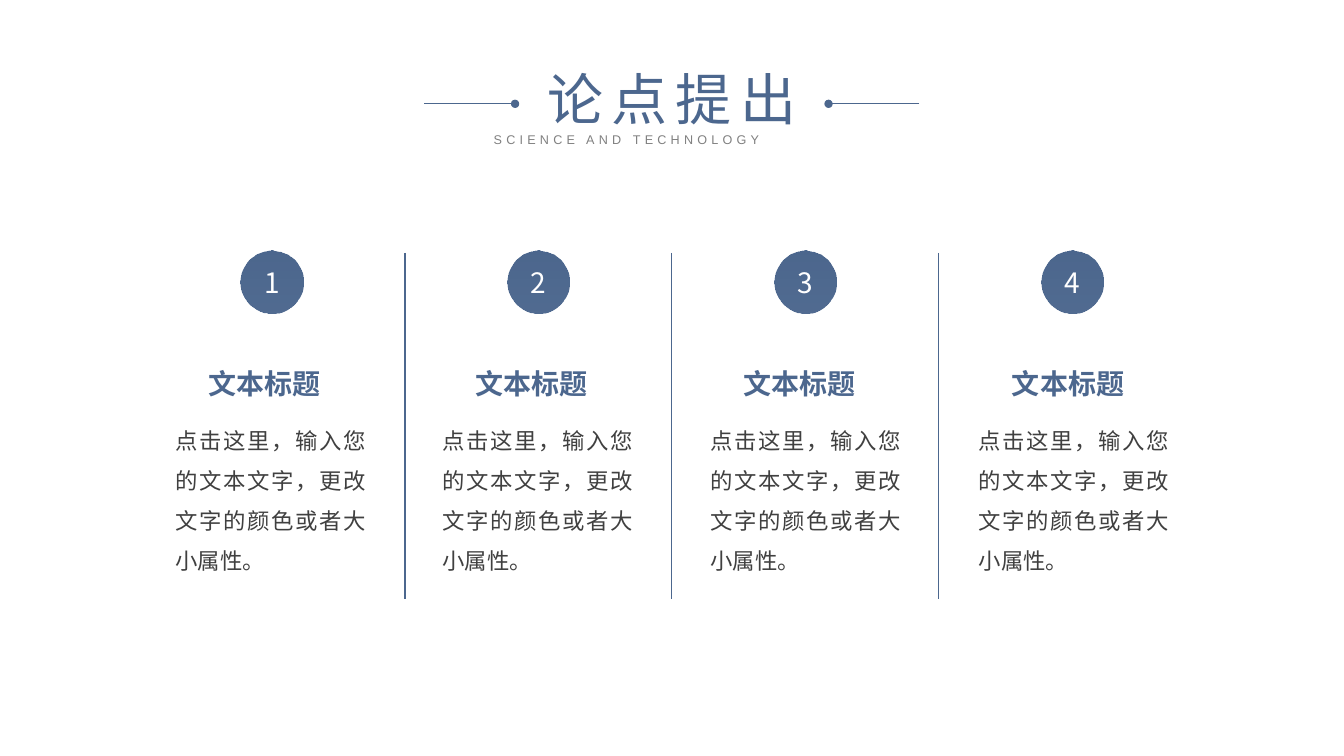
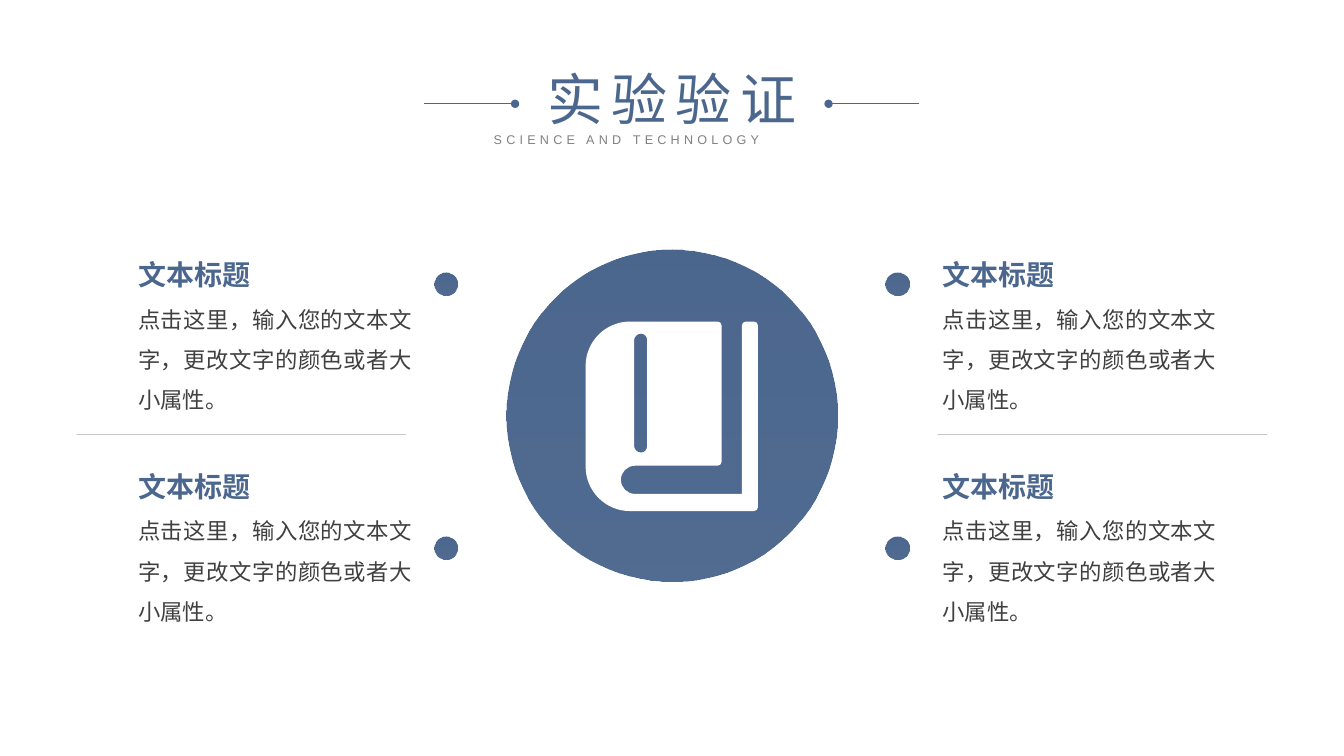
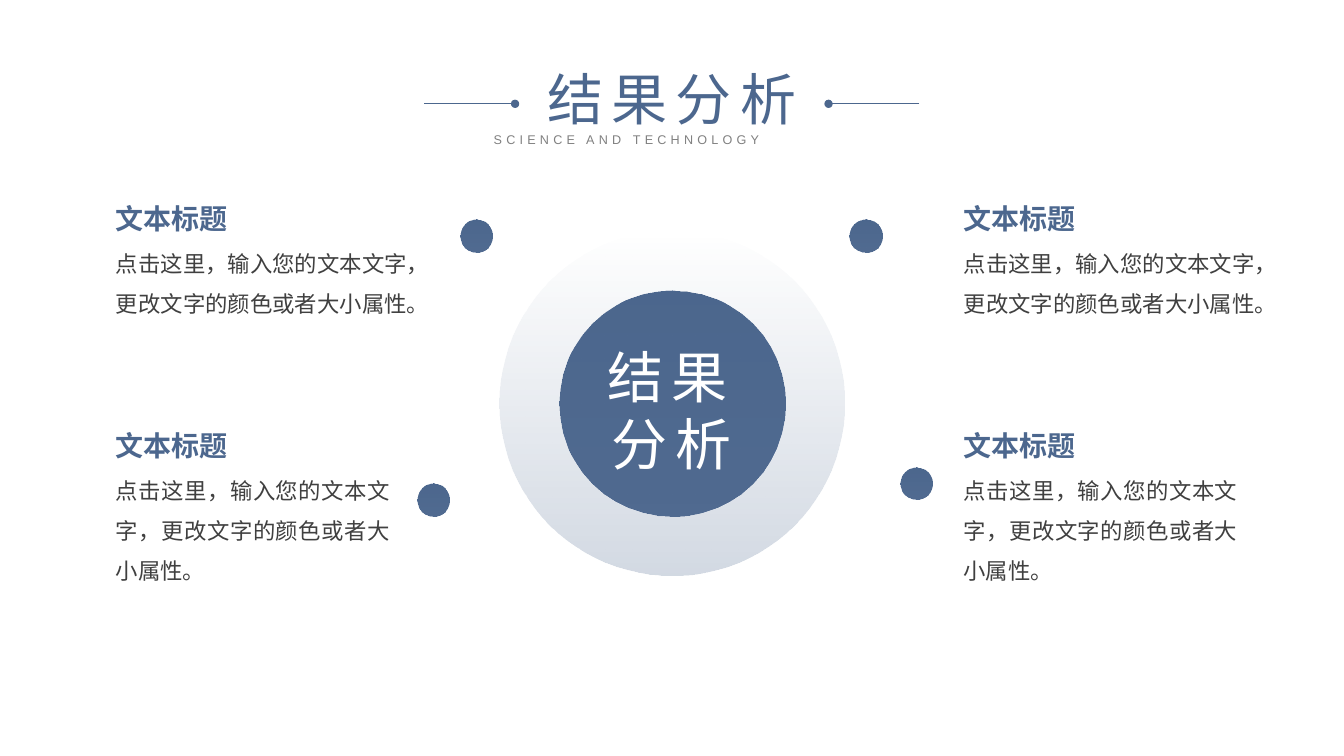
import dataclasses
import itertools
import math

import lxml.etree
import pptx
import pptx.dml.color
import pptx.enum.dml
import pptx.enum.shapes
import pptx.enum.text
import pptx.oxml.ns
import pptx.util

PX = 9144
BLUE, GRAY, DARK, RULE, WHITE = "4C678E", "808080", "404040", "A6A6A6", "FFFFFF"
CJK, LATIN = "Noto Sans CJK SC", "Arial"
HEADING = "文本标题"
BODY = "点击这里，输入您的文本文字，更改文字的颜色或者大小属性。"
ALIGN = pptx.enum.text.PP_ALIGN
ANCHOR = pptx.enum.text.MSO_ANCHOR
ARC_HANDLE = 0.55
qn = pptx.oxml.ns.qn


@dataclasses.dataclass
class Disc:
    x: int
    y: int
    size: int
    top_alpha: int = 100
    bottom_alpha: int = 97
    label: str = ""


@dataclasses.dataclass
class Item:
    x: int
    y: int
    width: int = 272
    height: int = 117
    heading_dx: int = 0
    body_dy: int = 51


@dataclasses.dataclass
class Rule:
    x1: int
    y1: int
    x2: int
    y2: int
    color: str = BLUE
    weight: float = 1
    alpha: int = 100
    dot: bool = False


@dataclasses.dataclass
class Corner:
    x: int
    y: int
    radius: int = 0


@dataclasses.dataclass
class Node:
    x: float
    y: float
    starts_curve: bool = False


BOOK_COVER = [
    Corner(752, 319, 4), Corner(736, 319, 4), Corner(736, 490),
    Corner(616, 490, 14), Corner(616, 462, 14), Corner(716, 462, 4),
    Corner(716, 319, 4), Corner(581, 319, 44), Corner(581, 507, 44),
    Corner(752, 507, 4),
]
BOOK_SLOT = [
    Corner(629, 331, 7), Corner(642, 331, 6),
    Corner(642, 449, 6), Corner(629, 449, 7),
]


def px(*values: int) -> list:
    return [pptx.util.Emu(v * PX) for v in values]


def rgb(color: str) -> pptx.dml.color.RGBColor:
    return pptx.dml.color.RGBColor.from_string(color)


def set_alpha(color_element, alpha: int) -> None:
    if alpha < 100:
        lxml.etree.SubElement(color_element, qn("a:alpha")).set("val", str(alpha * 1000))


def write_text(sp, text: str, *, size: int, color: str, font: str = CJK,
               align=ALIGN.JUSTIFY, bold: bool = False, spacing: int = 0,
               line_spacing: float = 1.0, anchor=ANCHOR.TOP) -> None:
    tf = sp.text_frame
    tf.word_wrap = True
    tf.vertical_anchor = anchor
    p = tf.paragraphs[0]
    p.alignment = align
    p.line_spacing = line_spacing
    r = p.add_run()
    r.text = text
    r.font.size = pptx.util.Pt(size)
    r.font.bold = bold
    r.font.color.rgb = rgb(color)
    r.font.name = font
    rpr = r._r.get_or_add_rPr()
    lxml.etree.SubElement(rpr, qn("a:ea")).set("typeface", font)
    if spacing:
        rpr.set("spc", str(spacing * 100))


def add_text(s, x: int, y: int, w: int, h: int, text: str, *,
             inset: bool = True, **fmt) -> None:
    sp = s.shapes.add_textbox(*px(x, y, w, h))
    tf = sp.text_frame
    tf.auto_size = pptx.enum.text.MSO_AUTO_SIZE.SHAPE_TO_FIT_TEXT
    if not inset:
        tf.margin_left = tf.margin_right = tf.margin_top = tf.margin_bottom = 0
    write_text(sp, text, **fmt)


def add_rule(s, rule: Rule) -> None:
    cx = s.shapes.add_connector(pptx.enum.shapes.MSO_CONNECTOR.STRAIGHT,
                                *px(rule.x1, rule.y1, rule.x2, rule.y2))
    cx.line.color.rgb = rgb(rule.color)
    cx.line.width = pptx.util.Pt(rule.weight)
    sppr = cx._element.spPr
    set_alpha(sppr.find(".//" + qn("a:srgbClr")), rule.alpha)
    if rule.dot:
        lxml.etree.SubElement(sppr.find(qn("a:ln")), qn("a:tailEnd")).set("type", "oval")
    lxml.etree.SubElement(sppr, qn("a:effectLst"))


def add_disc(s, disc: Disc) -> None:
    sp = s.shapes.add_shape(pptx.enum.shapes.MSO_SHAPE.OVAL,
                            *px(disc.x, disc.y, disc.size, disc.size))
    sp.shadow.inherit = False
    sp.line.fill.background()
    sp.fill.gradient()
    sp.fill.gradient_angle = 270
    for stop in sp.fill.gradient_stops:
        stop.color.rgb = rgb(BLUE)
    colors = sp._element.spPr.iter(qn("a:srgbClr"))
    for element, alpha in zip(colors, (disc.top_alpha, disc.bottom_alpha)):
        set_alpha(element, alpha)
    if disc.label:
        write_text(sp, disc.label, size=20, color=WHITE, align=ALIGN.CENTER,
                   anchor=ANCHOR.MIDDLE)


def add_item(s, item: Item) -> None:
    add_text(s, item.x + item.heading_dx, item.y, 123, 45, HEADING, inset=False,
             size=20, color=BLUE, bold=True, line_spacing=1.5)
    add_text(s, item.x, item.y + item.body_dy, item.width, item.height, BODY,
             inset=False, size=16, color=DARK, line_spacing=1.5)


def toward(start: Corner, end: Corner, distance: float) -> tuple[float, float]:
    share = distance / math.dist((start.x, start.y), (end.x, end.y))
    return start.x + share * (end.x - start.x), start.y + share * (end.y - start.y)


def rounded_outline(corners: list[Corner]) -> list[Node]:
    nodes = []
    for i, c in enumerate(corners):
        before, after = corners[i - 1], corners[(i + 1) % len(corners)]
        if not c.radius:
            nodes.append(Node(c.x, c.y))
            continue
        handle = c.radius * (1 - ARC_HANDLE)
        nodes += [Node(*toward(c, before, c.radius)),
                  Node(*toward(c, before, handle), starts_curve=True),
                  Node(*toward(c, after, handle)),
                  Node(*toward(c, after, c.radius))]
    return nodes


def add_outline(s, contours: list[list[Node]], color: str) -> None:
    scaled = [[(n.x * PX, n.y * PX) for n in nodes] for nodes in contours]
    builder = s.shapes.build_freeform(*scaled[0][0])
    for i, points in enumerate(scaled):
        if i:
            builder.move_to(*points[0])
        builder.add_line_segments(points[1:], close=True)
    sp = builder.convert_to_shape()
    sp.shadow.inherit = False
    sp.fill.solid()
    sp.fill.fore_color.rgb = rgb(color)
    sp.line.fill.background()
    outline = sp._element.spPr.find(".//" + qn("a:path"))
    steps = [e for e in outline if e.tag != qn("a:close")]
    for i, node in enumerate(itertools.chain(*contours)):
        if node.starts_curve:
            curve = lxml.etree.Element(qn("a:cubicBezTo"))
            outline.replace(steps[i], curve)
            for step in steps[i:i + 3]:
                curve.append(step[0])
            for step in steps[i + 1:i + 3]:
                outline.remove(step)


def add_titled_slide(prs, title: str):
    s = prs.slides.add_slide(prs.slide_layouts[6])
    add_text(s, 480, 126, 374, 25, "SCIENCE AND TECHNOLOGY", size=9, color=GRAY,
             font=LATIN, spacing=3)
    add_text(s, 516, 59, 301, 77, title, size=40, color=BLUE, align=ALIGN.CENTER,
             spacing=6)
    for outer, inner in ((421, 511), (912, 822)):
        add_rule(s, Rule(outer, 103, inner, 103, weight=0.5, dot=True))
    return s


def build_arguments(prs) -> None:
    s = add_titled_slide(prs, "论点提出")
    for i in range(4):
        add_disc(s, Disc(239 + 794 * i // 3, 249, 62, label=str(i + 1)))
        add_item(s, Item(174 + 797 * i // 3, 347, 189, 157, heading_dx=33, body_dy=63))
    for i in range(3):
        x = 402 + 529 * i // 2
        add_rule(s, Rule(x, 251, x, 594))


def build_experiment(prs) -> None:
    s = add_titled_slide(prs, "实验验证")
    add_disc(s, Disc(502, 248, 329))
    for x, y in itertools.product((431, 879), (270, 532)):
        add_disc(s, Disc(x, y, 23))
    for x in (76, 930):
        add_rule(s, Rule(x, 431, x + 327, 431, color=RULE, weight=0.5, alpha=62))
    add_outline(s, [rounded_outline(BOOK_COVER), rounded_outline(BOOK_SLOT)], WHITE)
    for x, y in itertools.product((137, 935), (239, 449)):
        add_item(s, Item(x, y))


def build_results(prs) -> None:
    s = add_titled_slide(prs, "结果分析")
    add_disc(s, Disc(496, 229, 342, top_alpha=0, bottom_alpha=25))
    add_disc(s, Disc(555, 288, 224))
    for x, y in ((457, 218), (843, 218), (414, 480), (893, 464)):
        add_disc(s, Disc(x, y, 32))
    add_text(s, 579, 335, 175, 145, "结果分析", size=40, color=WHITE,
             align=ALIGN.CENTER, spacing=6)
    for x, (y, width) in itertools.product((115, 956), ((183, 289), (408, 272))):
        add_item(s, Item(x, y, width, body_dy=52))


def main() -> None:
    prs = pptx.Presentation()
    prs.slide_width, prs.slide_height = pptx.util.Inches(40 / 3), pptx.util.Inches(7.5)
    build_arguments(prs)
    build_experiment(prs)
    build_results(prs)
    prs.save("out.pptx")


if __name__ == "__main__":
    main()
